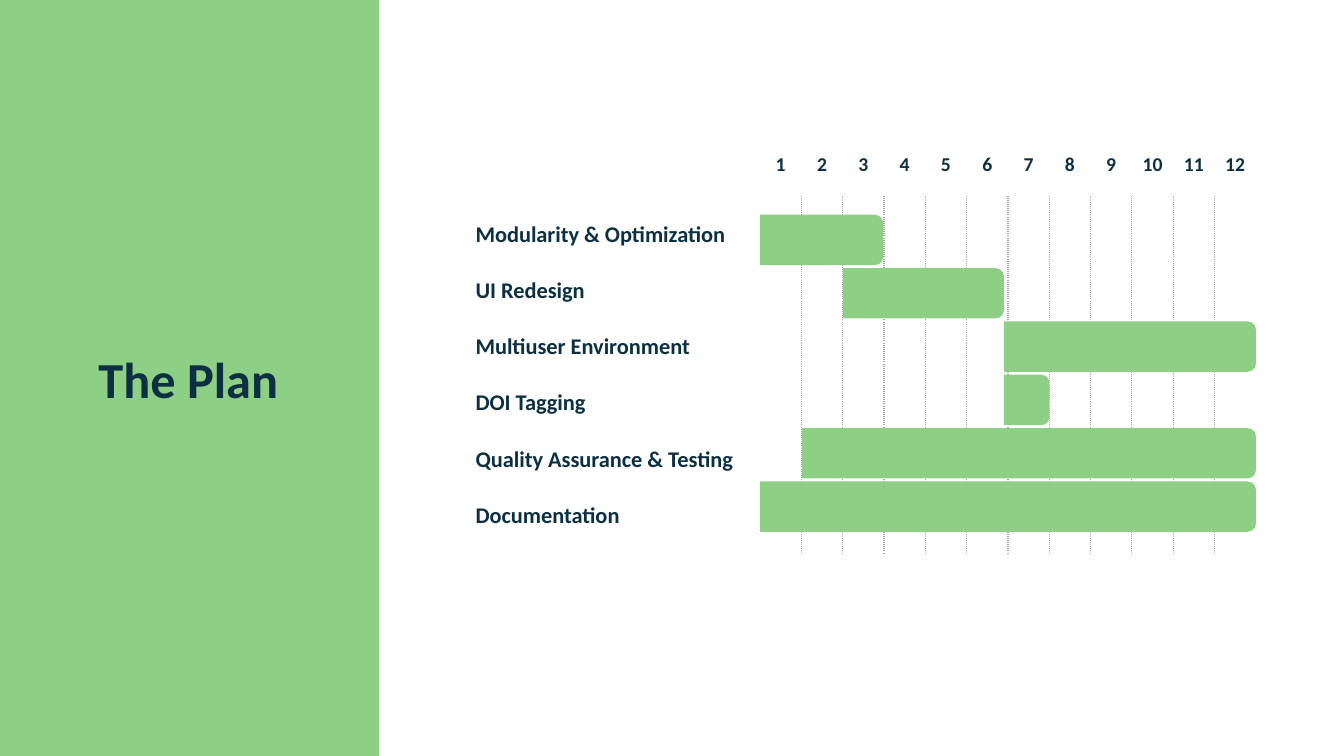
from lxml import etree
from pptx import Presentation
from pptx.dml.color import RGBColor
from pptx.enum import shapes, text
from pptx.oxml import ns
from pptx.util import Pt

TITLE = "The Plan"
MONTHS = 12
# task, start and end in months
TASKS = [
    ("Modularity & Optimization", 0, 2.98),
    ("UI Redesign", 2.01, 5.9),
    ("Multiuser Environment", 5.9, 12),
    ("DOI Tagging", 5.9, 7),
    ("Quality Assurance & Testing", 1.02, 12),
    ("Documentation", 0, 12),
]
COLORS = {"green": "8DCF84", "navy": "0C3042", "grid": "A6A6A6"}
FONT = "Calibri"

GRID_LEFT, GRID_TOP = 542.9, 88.6
MONTH_WIDTH, ROW_HEIGHT = 29.52, 51.1
GRID_ROWS = 6
TASK_TOP = 153.4
LABEL_STEP, BAR_STEP, BAR_HEIGHT = 40.18, 38.1, 36


def style_text(para, size):
    for span in para.runs:
        span.font.name = FONT
        span.font.size = Pt(size)
        span.font.bold = True
        span.font.color.rgb = RGBColor.from_string(COLORS["navy"])


def add_label(page, words, left, top, width, height, size):
    box = page.shapes.add_textbox(Pt(left), Pt(top), Pt(width), Pt(height))
    box.text_frame.word_wrap = True
    box.text_frame.text = words
    style_text(box.text_frame.paragraphs[0], size)


def add_block(page, kind, left, top, width, height):
    block = page.shapes.add_shape(kind, Pt(left), Pt(top), Pt(width), Pt(height))
    block.shadow.inherit = False
    block.fill.solid()
    block.fill.fore_color.rgb = RGBColor.from_string(COLORS["green"])
    block.line.fill.background()
    return block


def set_borders(cell, dotted_sides):
    """Dot the given sides (of L, R, T, B) and clear the others."""
    props = cell._tc.get_or_add_tcPr()
    for place, side in enumerate("LRTB"):
        line = etree.Element(ns.qn(f"a:ln{side}"), w=str(Pt(1)))
        props.insert(place, line)
        if side in dotted_sides:
            fill = etree.SubElement(line, ns.qn("a:solidFill"))
            etree.SubElement(fill, ns.qn("a:srgbClr"), val=COLORS["grid"])
            etree.SubElement(line, ns.qn("a:prstDash"), val="sysDot")
        else:
            etree.SubElement(line, ns.qn("a:noFill"))


def add_month_grid(page):
    grid = page.shapes.add_table(
        GRID_ROWS, MONTHS, Pt(GRID_LEFT), Pt(GRID_TOP),
        Pt(MONTHS * MONTH_WIDTH), Pt(GRID_ROWS * ROW_HEIGHT)).table
    grid.first_row = grid.horz_banding = False
    for column in grid.columns:
        column.width = Pt(MONTH_WIDTH)
    for row_number, row in enumerate(grid.rows):
        row.height = Pt(ROW_HEIGHT)
        for month, cell in enumerate(row.cells, 1):
            cell.fill.background()
            sides = ""
            if row_number > 0:
                sides = ("L" if month > 1 else "") + ("R" if month < MONTHS else "")
            else:
                cell.margin_left = cell.margin_right = Pt(0)
                cell.margin_top = Pt(20.7)
                para = cell.text_frame.paragraphs[0]
                para.text = str(month)
                para.alignment = text.PP_ALIGN.CENTER
                style_text(para, 14)
            set_borders(cell, sides)


def add_bar(page, start, end, top):
    """Add a bar with a rounded right end: an upright shape turned by 90 degrees."""
    length = (end - start) * MONTH_WIDTH
    shift = (length - BAR_HEIGHT) / 2
    left = GRID_LEFT + start * MONTH_WIDTH
    bar = add_block(page, shapes.MSO_SHAPE.ROUND_2_SAME_RECTANGLE,
                    left + shift, top - shift, BAR_HEIGHT, length)
    bar.rotation = 90


def main():
    deck = Presentation()
    deck.slide_width, deck.slide_height = Pt(960), Pt(540)
    page = deck.slides.add_slide(deck.slide_layouts[6])

    for row, (task, _, _) in enumerate(TASKS):
        add_label(page, task, 332.6, TASK_TOP + row * LABEL_STEP, 553, 26.6, 16)
    add_block(page, shapes.MSO_SHAPE.RECTANGLE, 0, 0, 270.7, 540)
    add_label(page, TITLE, 63.2, 244.8, 143.3, 51, 36)
    add_month_grid(page)
    for row, (_, start, end) in enumerate(TASKS):
        add_bar(page, start, end, TASK_TOP + row * BAR_STEP)

    deck.save("out.pptx")


if __name__ == "__main__":
    main()
